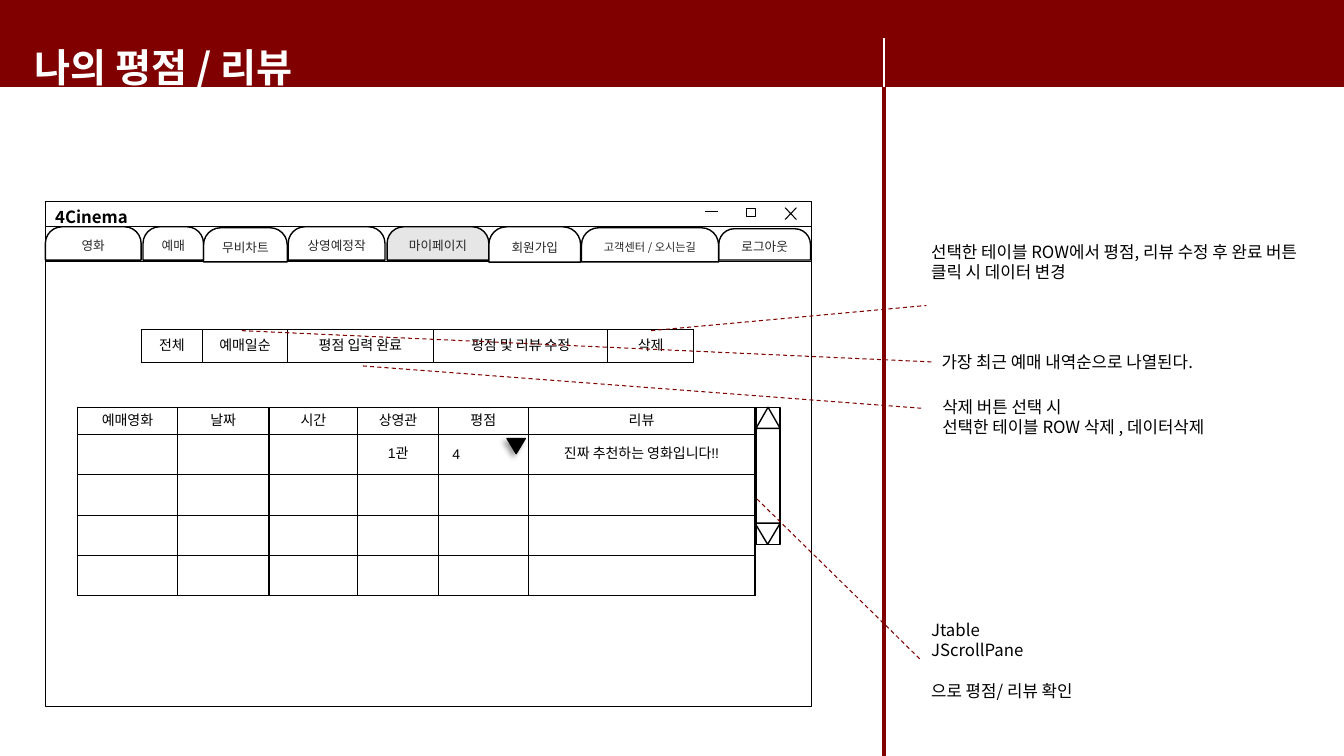
from lxml.etree import SubElement
from pptx import Presentation
from pptx.dml.color import RGBColor
from pptx.enum.dml import MSO_LINE
from pptx.enum.shapes import MSO_CONNECTOR, MSO_SHAPE
from pptx.enum.text import MSO_ANCHOR, MSO_AUTO_SIZE, PP_ALIGN
from pptx.oxml import parse_xml
from pptx.oxml.ns import qn
from pptx.util import Pt

NS = "http://schemas.openxmlformats.org/drawingml/2006/main"
COLORS = {"red": "800000", "white": "FFFFFF", "black": "000000",
          "gray": "E7E6E6", "dark": "262626", "blue": "4472C4"}
FACE = "Noto Sans CJK KR"
TITLE = "나의 평점 / 리뷰"
BRAND = "4Cinema"
SPLIT = 631.5
BAND = 62
WIN = (32.4, 144, 547.2, 360.7)
TABS = [
    ("영화", 32.4, 162, 68.4, 23.8, 9, None),
    ("예매", 102.2, 162, 43.2, 23.8, 9, None),
    ("무비차트", 145.4, 162.7, 59.8, 24.5, 9, None),
    ("상영예정작", 205.9, 162, 69.1, 23.8, 9, None),
    ("마이페이지", 276.5, 162, 72.7, 23.8, 9, "gray"),
    ("회원가입", 349.2, 162, 65.5, 25.2, 9, "white"),
    ("로그아웃", 513.4, 163.4, 65.5, 22.3, 9, None),
    ("고객센터 / 오시는길", 415.4, 162.7, 97.9, 24.5, 8, None),
]
REVIEWS = [
    ["예매영화", "날짜", "시간", "상영관", "평점", "리뷰"],
    ["", "", "", "1관", "4", "진짜 추천하는 영화입니다!!"],
    [""] * 6,
    [""] * 6,
    [""] * 6,
]
BUTTONS = [["전체", "예매일순", "평점 입력 완료", "평점 및 리뷰 수정", "삭제"]]
NOTES = [
    (658, 439.2, 279, 65.5, ["Jtable", "JScrollPane", "으로 평점/ 리뷰 확인"]),
    (666, 280.1, 296, 36, ["삭제 버튼 선택 시", "선택한 테이블 ROW 삭제 , 데이터삭제"]),
    (665.5, 247.7, 296, 21.6, ["가장 최근 예매 내역순으로 나열된다."]),
    (658, 169.2, 296, 36,
     ["선택한 테이블 ROW에서 평점, 리뷰 수정 후 완료 버튼 클릭 시 데이터 변경"]),
]
LEADS = [(540.7, 356.4, 658, 471.6), (465.1, 236.2, 661.7, 218.2),
         (172.8, 236.2, 665.3, 258.5), (259.2, 261.4, 658, 291.6)]

deck = Presentation()
deck.slide_width, deck.slide_height = Pt(960), Pt(540)
slide = deck.slides.add_slide(deck.slide_layouts[5])
shapes = slide.shapes


def color(name):
    return RGBColor.from_string(COLORS[name])


def write(frame, lines, size, tint="black", align=PP_ALIGN.LEFT, bold=False, face=FACE):
    look = {"size": Pt(size), "name": face, "bold": bold}
    for i, line in enumerate(lines):
        para = frame.paragraphs[0] if i == 0 else frame.add_paragraph()
        para.alignment = align
        para.line_spacing = Pt(round(size * 1.2, 1))
        if not line:
            continue
        run = para.add_run()
        run.text = line
        for key, value in look.items():
            setattr(run.font, key, value)
        run.font.color.rgb = color(tint)
        SubElement(run.font._element, qn("a:ea"), typeface=FACE)


def shape(kind, box, fill=None, edge="black", width=1):
    item = shapes.add_shape(kind, *map(Pt, box))
    item.shadow.inherit = False
    if fill:
        item.fill.solid()
        item.fill.fore_color.rgb = color(fill)
    else:
        item.fill.background()
    if edge:
        item.line.color.rgb = color(edge)
        item.line.width = Pt(width)
    else:
        item.line.fill.background()
    return item


def rule(ends, tint="black", width=1, dash=None):
    item = shapes.add_connector(MSO_CONNECTOR.STRAIGHT, *map(Pt, ends))
    item.line.color.rgb = color(tint)
    item.line.width = Pt(width)
    if dash:
        item.line.dash_style = dash
    SubElement(item._element.spPr, qn("a:effectLst"))


def label(box, lines, size, bold=False):
    frame = shapes.add_textbox(*map(Pt, box)).text_frame
    frame.word_wrap = True
    write(frame, lines, size, bold=bold)
    return frame


def border(cell):
    props = cell._tc.get_or_add_tcPr()
    for i, side in enumerate(("lnL", "lnR", "lnT", "lnB")):
        props.insert(i, parse_xml(
            f'<a:{side} xmlns:a="{NS}" w="12700"><a:solidFill>'
            f'<a:srgbClr val="{COLORS["black"]}"/></a:solidFill></a:{side}>'))


def table(left, top, cols, rows, data, fill=None):
    grid = shapes.add_table(len(rows), len(cols), Pt(left), Pt(top),
                            Pt(sum(cols)), Pt(sum(rows))).table
    grid.first_row = grid.horz_banding = False
    for col, width in zip(grid.columns, cols):
        col.width = Pt(width)
    for row, height, texts in zip(grid.rows, rows, data):
        row.height = Pt(height)
        for cell, text in zip(row.cells, texts):
            if fill:
                cell.fill.solid()
                cell.fill.fore_color.rgb = color(fill)
            else:
                cell.fill.background()
            border(cell)
            cell.vertical_anchor = MSO_ANCHOR.MIDDLE
            write(cell.text_frame, [text], 10, align=PP_ALIGN.CENTER, face="Arial")
    return grid


shape(MSO_SHAPE.RECTANGLE, (-13, 0, 996, BAND), "red", None)
title = shapes.title
shapes._spTree.append(title._element)
for key, value in {"left": 17.3, "top": 27.4, "width": 285, "height": 41}.items():
    setattr(title, key, Pt(value))
frame = title.text_frame
for key, value in {"word_wrap": True, "auto_size": MSO_AUTO_SIZE.NONE,
                   "vertical_anchor": MSO_ANCHOR.TOP}.items():
    setattr(frame, key, value)
write(frame, [TITLE], 28, "white", bold=True)
rule((SPLIT, 27.4, SPLIT, 68.4), "white", 1.5)

left, top, wide, high = WIN
shape(MSO_SHAPE.RECTANGLE, WIN)
rule((left, 162, left + wide, 162))
rule((503.3, 151.2, 512.6, 151.2), width=0.75)
shape(MSO_SHAPE.RECTANGLE, (533.5, 149, 6, 6), width=0.75)
rule((left, 186.5, left + wide, 186.5), width=0.75)
label((left, top, 88.6, 21.6), [BRAND], 12, True)
for text, x, y, w, h, size, fill in TABS:
    tab = shape(MSO_SHAPE.ROUND_2_SAME_RECTANGLE, (x, y, w, h), fill)
    tab.adjustments[0] = 0.5
    tab.text_frame.word_wrap = False
    tab.text_frame.vertical_anchor = MSO_ANCHOR.MIDDLE
    write(tab.text_frame, [text], size, "dark", PP_ALIGN.CENTER)
close = shape(MSO_SHAPE.MATH_MULTIPLY, (557.3, 144.7, 15.1, 15.8), "blue", width=0.75)
close.adjustments[0] = 0

grid = table(55.4, 290.9, [71.3, 65.5, 63.4, 57.6, 64.1, 162],
             [19.4] + [28.8] * 4, REVIEWS)
score = grid.cell(1, 4)
score.margin_left = Pt(10)
score.text_frame.paragraphs[0].alignment = PP_ALIGN.LEFT
table(100.8, 235.4, [43.9, 60.5, 104.4, 124.6, 61.2], [23.8], BUTTONS, "white")

shape(MSO_SHAPE.RECTANGLE, (540, 290.9, 17.3, 97.9))
shape(MSO_SHAPE.ISOSCELES_TRIANGLE, (540, 290.9, 17.3, 15.1))
shape(MSO_SHAPE.ISOSCELES_TRIANGLE, (539.3, 373.7, 18, 15.1)).rotation = 180
arrow = shape(MSO_SHAPE.ISOSCELES_TRIANGLE, (362.2, 313.2, 13, 10.8), "black")
arrow.rotation = 180
glow = SubElement(arrow._element.spPr.find(qn("a:effectLst")), qn("a:outerShdw"),
                  blurRad="50800", dist="38100", dir="8100000", rotWithShape="0")
tone = SubElement(glow, qn("a:srgbClr"), val=COLORS["black"])
SubElement(tone, qn("a:alpha"), val="40000")

rule((SPLIT, BAND, SPLIT, 540), "red", 2.25)
for *box, lines in NOTES:
    frame = label(box, lines, 12)
    if len(lines) == 3:
        frame.paragraphs[2].space_before = Pt(14.4)
for ends in LEADS:
    rule(ends, "red", 0.75, MSO_LINE.DASH)

deck.save("out.pptx")
